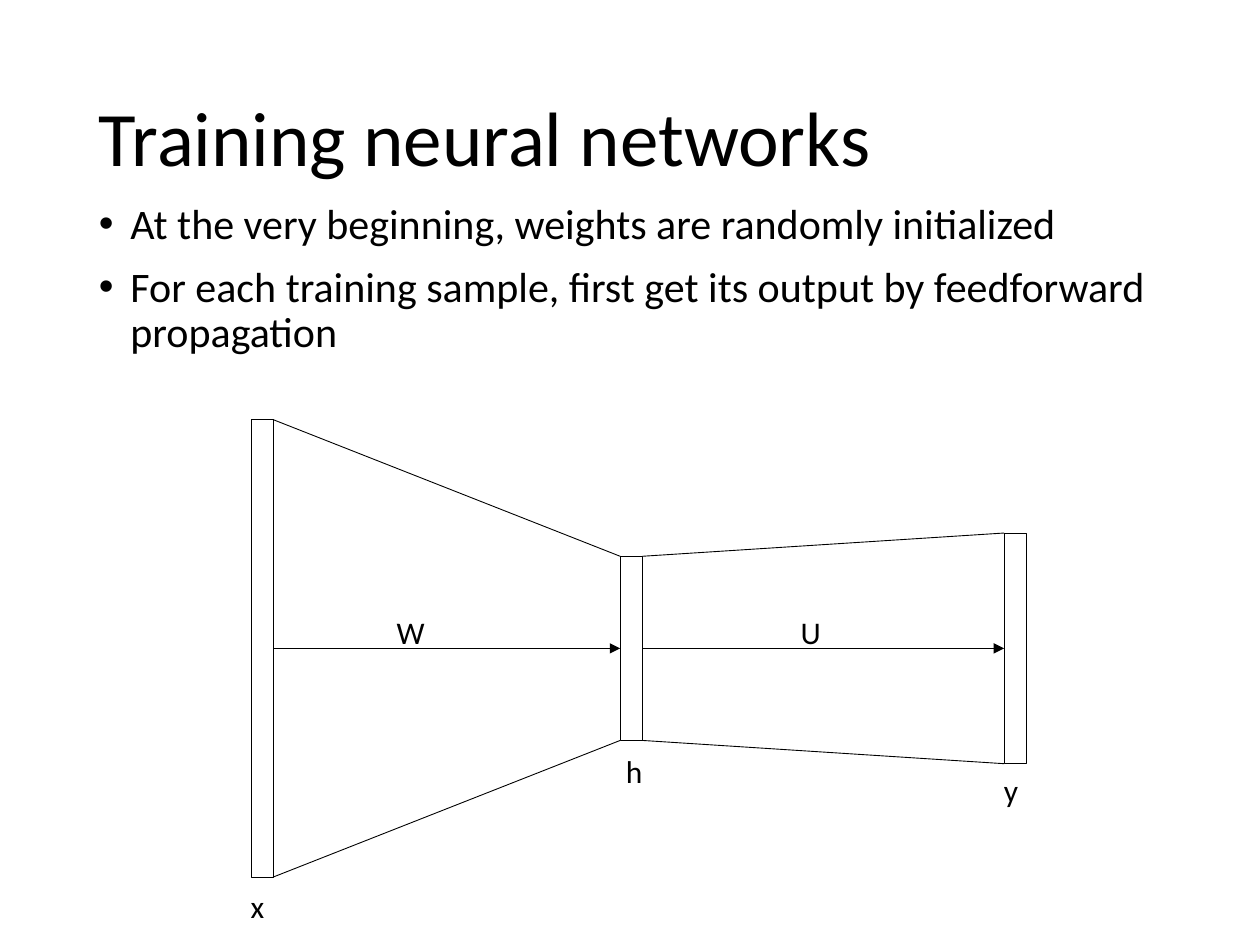
from dataclasses import dataclass
from itertools import pairwise

from lxml import etree
from pptx import Presentation
from pptx.dml.color import RGBColor
from pptx.enum.shapes import MSO_CONNECTOR, MSO_SHAPE
from pptx.enum.text import MSO_ANCHOR
from pptx.oxml.ns import qn
from pptx.util import Pt

RECTANGLE = MSO_SHAPE.RECTANGLE
STRAIGHT = MSO_CONNECTOR.STRAIGHT
TOP, MIDDLE = MSO_ANCHOR.TOP, MSO_ANCHOR.MIDDLE


@dataclass(frozen=True)
class Theme:
    font: str = "Calibri"
    ink: RGBColor = RGBColor(0, 0, 0)
    title_size: float = 44
    body_size: float = 24
    label_size: float = 18
    line_width: float = 0.5
    bullet_indent: float = 18


@dataclass(frozen=True)
class Layer:
    """A vertical bar of the network, centred on the shared axis."""
    left: float
    height: float
    axis: float = 370.5
    width: float = 12.6

    @property
    def right(self):
        return self.left + self.width

    @property
    def top(self):
        return self.axis - self.height / 2

    @property
    def bottom(self):
        return self.axis + self.height / 2


class SlideBuilder:
    def __init__(self, slide, theme):
        self.shapes = slide.shapes
        self.theme = theme

    def add_text(self, bounds, lines, size, anchor=TOP, bullets=False, para_format=None):
        box = self.shapes.add_textbox(*map(Pt, bounds))
        frame = box.text_frame
        frame.word_wrap = True
        frame.vertical_anchor = anchor
        for index, line in enumerate(lines):
            para = frame.add_paragraph() if index else frame.paragraphs[0]
            para.text = line
            for name, value in (para_format or {}).items():
                if index or name != "space_before":
                    setattr(para, name, value)
            if bullets:
                self.add_bullet(para)
            font_format = {"name": self.theme.font, "size": Pt(size)}
            for span in para.runs:
                for name, value in font_format.items():
                    setattr(span.font, name, value)
                span.font.color.rgb = self.theme.ink

    def add_bullet(self, para):
        properties = para._p.get_or_add_pPr()
        indent = Pt(self.theme.bullet_indent)
        properties.set("marL", str(indent))
        properties.set("indent", str(-indent))
        etree.SubElement(properties, qn("a:buFont"), typeface="Arial")
        etree.SubElement(properties, qn("a:buChar"), char="•")

    def style_line(self, line):
        line.color.rgb = self.theme.ink
        line.width = Pt(self.theme.line_width)

    def add_layer(self, layer):
        bounds = (layer.left, layer.top, layer.width, layer.height)
        bar = self.shapes.add_shape(RECTANGLE, *map(Pt, bounds))
        bar.shadow.inherit = False
        bar.fill.background()
        self.style_line(bar.line)

    def add_line(self, start, end, arrow=False):
        connector = self.shapes.add_connector(STRAIGHT, *map(Pt, start + end))
        self.style_line(connector.line)
        properties = connector._element.spPr
        if arrow:
            etree.SubElement(properties.find(qn("a:ln")), qn("a:tailEnd"), type="triangle")
        etree.SubElement(properties, qn("a:effectLst"))


def main():
    deck = Presentation()
    deck.slide_width, deck.slide_height = Pt(720), Pt(540)
    theme = Theme()
    page = SlideBuilder(deck.slides.add_slide(deck.slide_layouts[6]), theme)

    # Title and bullets
    page.add_text((49.5, 28.75, 621, 104.4), ["Training neural networks"],
                  theme.title_size, MIDDLE, para_format={"line_spacing": 0.9})
    page.add_text(
        (49.5, 112.5, 621, 401.75),
        ["At the very beginning, weights are randomly initialized",
         "For each training sample, first get its output by feedforward propagation"],
        theme.body_size, bullets=True,
        para_format={"line_spacing": 0.9, "space_before": Pt(10)})

    # Layers x, h and y
    layers = [Layer(143.5, 261.4), Layer(354.4, 105.2), Layer(573.8, 131.8)]
    for layer in layers:
        page.add_layer(layer)

    # Edges and arrow between neighbouring layers
    for source, target in pairwise(layers):
        page.add_line((source.right, source.top), (target.left, target.top))
        page.add_line((source.right, source.bottom), (target.left, target.bottom))
        page.add_line((source.right, source.axis), (target.left, target.axis), arrow=True)

    # Labels of layers and weights
    labels = {"x": (136.1, 503.5), "W": (219.6, 346.5), "U": (450.5, 346.5),
              "h": (350.6, 426.3), "y": (566.6, 437.2)}
    for name, corner in labels.items():
        page.add_text((*corner, 40.3, 29), [name], theme.label_size)

    deck.save("out.pptx")


if __name__ == "__main__":
    main()
